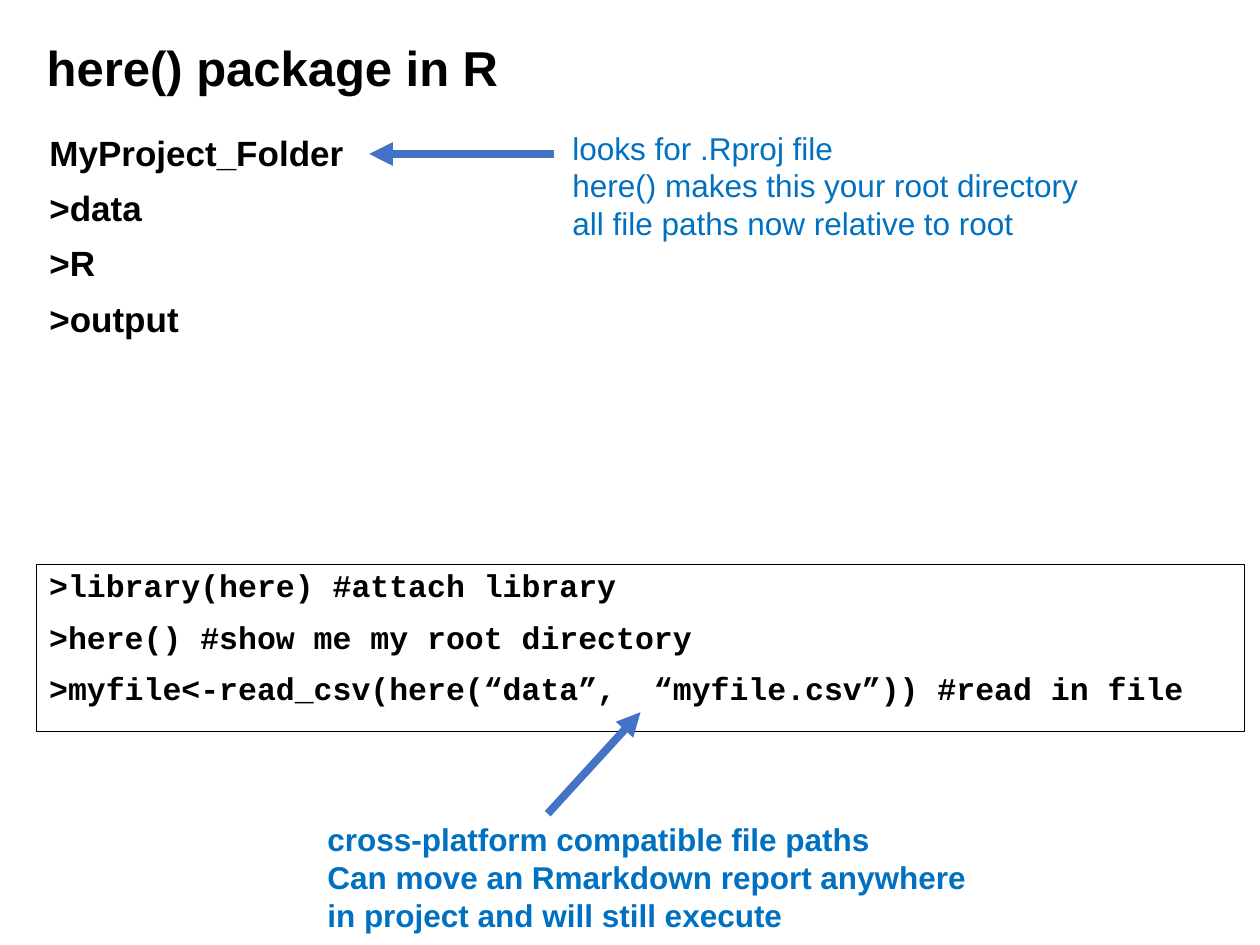
import pptx
import pptx.dml.color
import pptx.enum.shapes
import pptx.enum.text
import pptx.oxml.ns
import pptx.util
from lxml import etree

Pt = pptx.util.Pt
BLACK = pptx.dml.color.RGBColor(0x00, 0x00, 0x00)
WHITE = pptx.dml.color.RGBColor(0xFF, 0xFF, 0xFF)
NOTE_BLUE = pptx.dml.color.RGBColor(0x00, 0x70, 0xC0)
ARROW_BLUE = pptx.dml.color.RGBColor(0x44, 0x72, 0xC4)


def place(shape, box):
    """Move and size a shape to a box of left, top, width and height."""
    shape.left, shape.top, shape.width, shape.height = map(Pt, box)


def write(shape, lines, size, color, name="Arial", bold=True, line_spacing=0.9, gap=0):
    """Fill a shape with left-aligned paragraphs of one font."""
    frame = shape.text_frame
    frame.text = "\n".join(lines)
    frame.word_wrap = True
    frame.auto_size = pptx.enum.text.MSO_AUTO_SIZE.NONE
    frame.vertical_anchor = pptx.enum.text.MSO_ANCHOR.TOP
    for index, paragraph in enumerate(frame.paragraphs):
        properties = paragraph._p.get_or_add_pPr()
        properties.set("marL", "0")
        properties.set("indent", "0")
        etree.SubElement(properties, pptx.oxml.ns.qn("a:buNone"))
        paragraph.alignment = pptx.enum.text.PP_ALIGN.LEFT
        paragraph.line_spacing = line_spacing
        paragraph.space_before = Pt(gap if index else 0)
        font = paragraph.font
        font.name, font.size, font.bold = name, Pt(size), bold
        font.color.rgb = color


def add_title(slide, box):
    """Set the slide title."""
    title = slide.shapes.title
    place(title, box)
    write(title, ["here() package in R"], 28, BLACK)


def add_folder_list(slide, box):
    """List the project folder and its subfolders in the body placeholder."""
    body = slide.placeholders[1]
    place(body, box)
    write(body, ["MyProject_Folder", ">data", ">R", ">output"], 20, BLACK, gap=10)


def add_code(slide, box):
    """Draw the framed code listing."""
    rectangle = pptx.enum.shapes.MSO_SHAPE.RECTANGLE
    frame = slide.shapes.add_shape(rectangle, *map(Pt, box))
    frame.shadow.inherit = False
    frame.fill.solid()
    frame.fill.fore_color.rgb = WHITE
    frame.line.color.rgb = BLACK
    frame.line.width = Pt(0.75)
    code = [
        ">library(here) #attach library",
        ">here() #show me my root directory",
        ">myfile<-read_csv(here(“data”,  “myfile.csv”)) #read in file",
    ]
    write(frame, code, 18, BLACK, name="Courier New", gap=10)


def add_note(slide, box, lines, arrow_start, arrow_end, bold=False):
    """Add a blue note and an arrow, whose ends are offsets from the box corner."""
    left, top = box[:2]
    note = slide.shapes.add_textbox(*map(Pt, box))
    write(note, lines, 18, NOTE_BLUE, bold=bold, line_spacing=1.0)
    ends = [Pt(origin + offset) for point in (arrow_start, arrow_end)
            for origin, offset in zip((left, top), point)]
    straight = pptx.enum.shapes.MSO_CONNECTOR.STRAIGHT
    arrow = slide.shapes.add_connector(straight, *ends)
    arrow.line.color.rgb = ARROW_BLUE
    arrow.line.width = Pt(4.5)
    line = arrow.line._get_or_add_ln()
    etree.SubElement(line, pptx.oxml.ns.qn("a:tailEnd"), type="triangle")
    etree.SubElement(arrow._element.spPr, pptx.oxml.ns.qn("a:effectLst"))


def main():
    """Build the slide and save it."""
    presentation = pptx.Presentation()
    presentation.slide_width, presentation.slide_height = Pt(720), Pt(540)
    slide = presentation.slides.add_slide(presentation.slide_layouts[1])
    add_title(slide, (19.5, 21.5, 612, 50))
    add_folder_list(slide, (21, 74, 690, 154))
    root_note = [
        "looks for .Rproj file",
        "here() makes this your root directory",
        "all file paths now relative to root",
    ]
    add_note(slide, (320, 70, 338, 73), root_note, (-3.5, 18), (-109, 18))
    add_code(slide, (21, 322.5, 690, 95.5))
    path_note = [
        "cross-platform compatible file paths",
        "Can move an Rmarkdown report anywhere in project and will still execute",
    ]
    add_note(slide, (180, 465, 391, 73), path_note, (133, 0), (186, -58), bold=True)
    presentation.save("out.pptx")


if __name__ == "__main__":
    main()
